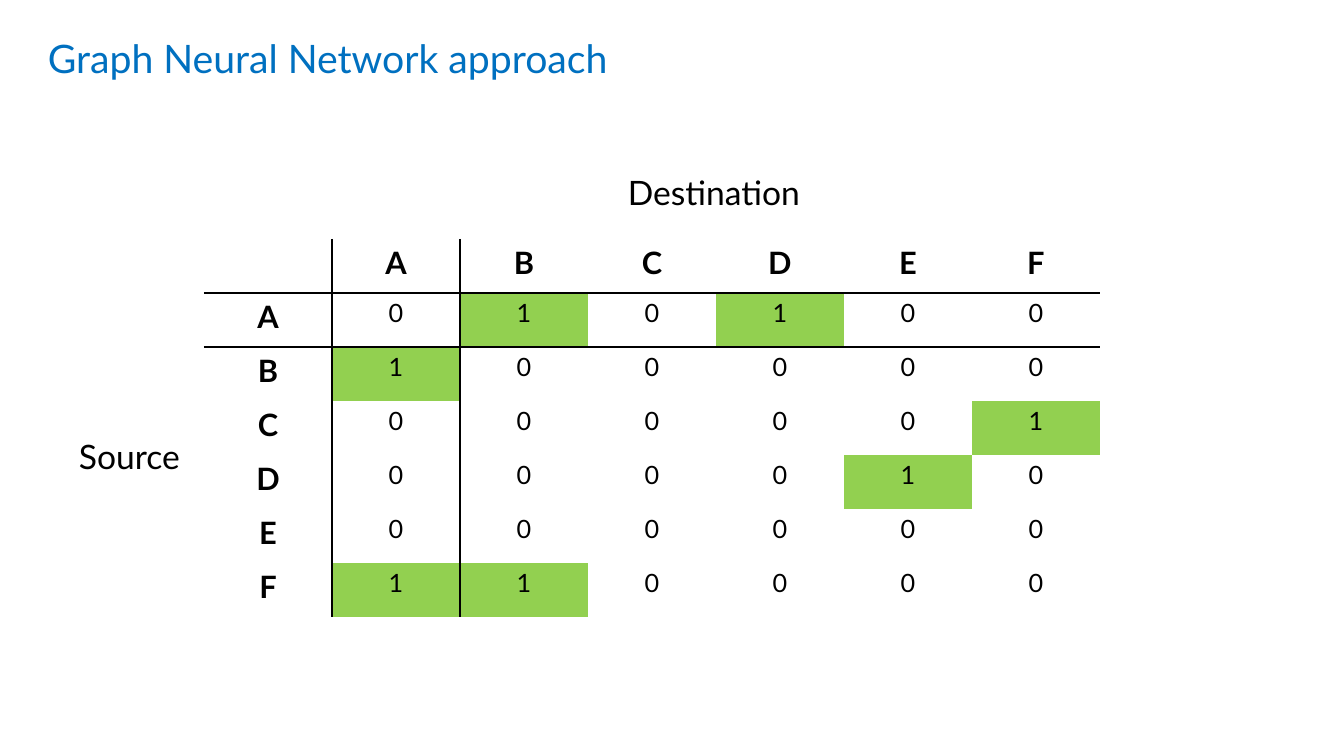
import pptx
import pptx.dml.color
import pptx.enum.text
import pptx.oxml
import pptx.oxml.ns
import pptx.util

# Content
TITLE = "Graph Neural Network approach"
NODES = "ABCDEF"
ADJACENCY = [
    [0, 1, 0, 1, 0, 0],
    [1, 0, 0, 0, 0, 0],
    [0, 0, 0, 0, 0, 1],
    [0, 0, 0, 0, 1, 0],
    [0, 0, 0, 0, 0, 0],
    [1, 1, 0, 0, 0, 0],
]
AXIS_LABELS = [("Source", (69, 436, 136, 53)), ("Destination", (618, 172, 272, 53))]
TITLE_BOX = (38, 19, 1159, 84)
MATRIX_LEFT, MATRIX_TOP = 204, 239
COLUMN_WIDTH, ROW_HEIGHT = 128, 54
RULED_EDGES = (1, 2)  # grid edges around the first node's row and column

FONT = "Lato"
BLACK = pptx.dml.color.RGBColor(0x00, 0x00, 0x00)
BLUE = pptx.dml.color.RGBColor(0x00, 0x70, 0xC0)
GREEN = pptx.dml.color.RGBColor(0x92, 0xD0, 0x50)


def px(length):
    return pptx.util.Emu(round(length * 914400 / 100.8))


def add_run(paragraph, text, size, color=BLACK, bold=False):
    run = paragraph.add_run()
    run.text = text
    run.font.name = FONT
    run.font.size = pptx.util.Pt(size)
    run.font.bold = bold
    run.font.color.rgb = color


def add_label(slide, text, box, size, color=BLACK, space_before=0):
    frame = slide.shapes.add_textbox(*map(px, box)).text_frame
    frame.word_wrap = True
    paragraph = frame.paragraphs[0]
    paragraph.line_spacing = 0.9
    paragraph.space_before = pptx.util.Pt(space_before)
    add_run(paragraph, text, size, color)
    return frame


def set_borders(cell, row, column):
    edges = {"L": column, "R": column + 1, "T": row, "B": row + 1}
    properties = cell._tc.get_or_add_tcPr()
    for position, (side, edge) in enumerate(edges.items()):
        paint = "<a:noFill/>"
        if edge in RULED_EDGES:
            paint = f'<a:solidFill><a:srgbClr val="{BLACK}"/></a:solidFill>'
        properties.insert(position, pptx.oxml.parse_xml(
            f'<a:ln{side} {pptx.oxml.ns.nsdecls("a")} w="12700">{paint}</a:ln{side}>'))


def add_matrix(slide):
    count = len(NODES) + 1
    table = slide.shapes.add_table(
        count, count, px(MATRIX_LEFT), px(MATRIX_TOP),
        px(COLUMN_WIDTH * count), px(ROW_HEIGHT * count)).table
    table.first_row = table.horz_banding = False
    for column in table.columns:
        column.width = px(COLUMN_WIDTH)
    for row in table.rows:
        row.height = px(ROW_HEIGHT)

    rows = [["", *NODES]]
    rows += [[node, *links] for node, links in zip(NODES, ADJACENCY)]
    for r, values in enumerate(rows):
        for c, value in enumerate(values):
            cell = table.cell(r, c)
            if value == 1:
                cell.fill.solid()
                cell.fill.fore_color.rgb = GREEN
            else:
                cell.fill.background()
            set_borders(cell, r, c)
            if value != "":
                heading = r == 0 or c == 0
                paragraph = cell.text_frame.paragraphs[0]
                paragraph.alignment = pptx.enum.text.PP_ALIGN.CENTER
                add_run(paragraph, str(value), 22 if heading else 18, bold=heading)


def main():
    deck = pptx.Presentation()
    deck.slide_width = px(1344)
    deck.slide_height = px(756)
    slide = deck.slides.add_slide(deck.slide_layouts[6])

    # Adjacency matrix
    add_matrix(slide)

    # Axis labels
    for text, box in AXIS_LABELS:
        add_label(slide, text, box, 24, space_before=10)

    # Title
    title = add_label(slide, TITLE, TITLE_BOX, 28, BLUE)
    title.vertical_anchor = pptx.enum.text.MSO_ANCHOR.MIDDLE

    deck.save("out.pptx")


if __name__ == "__main__":
    main()
